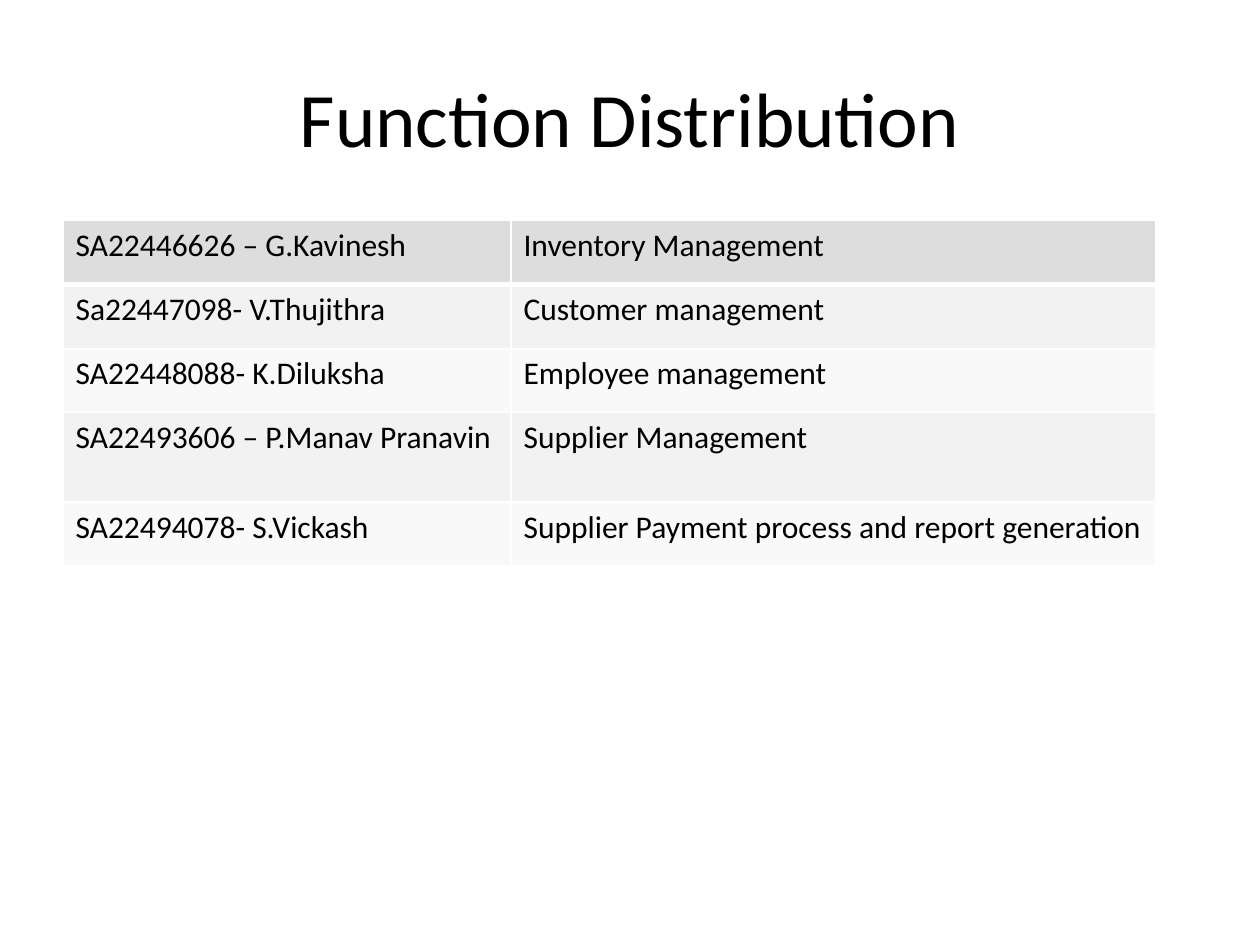
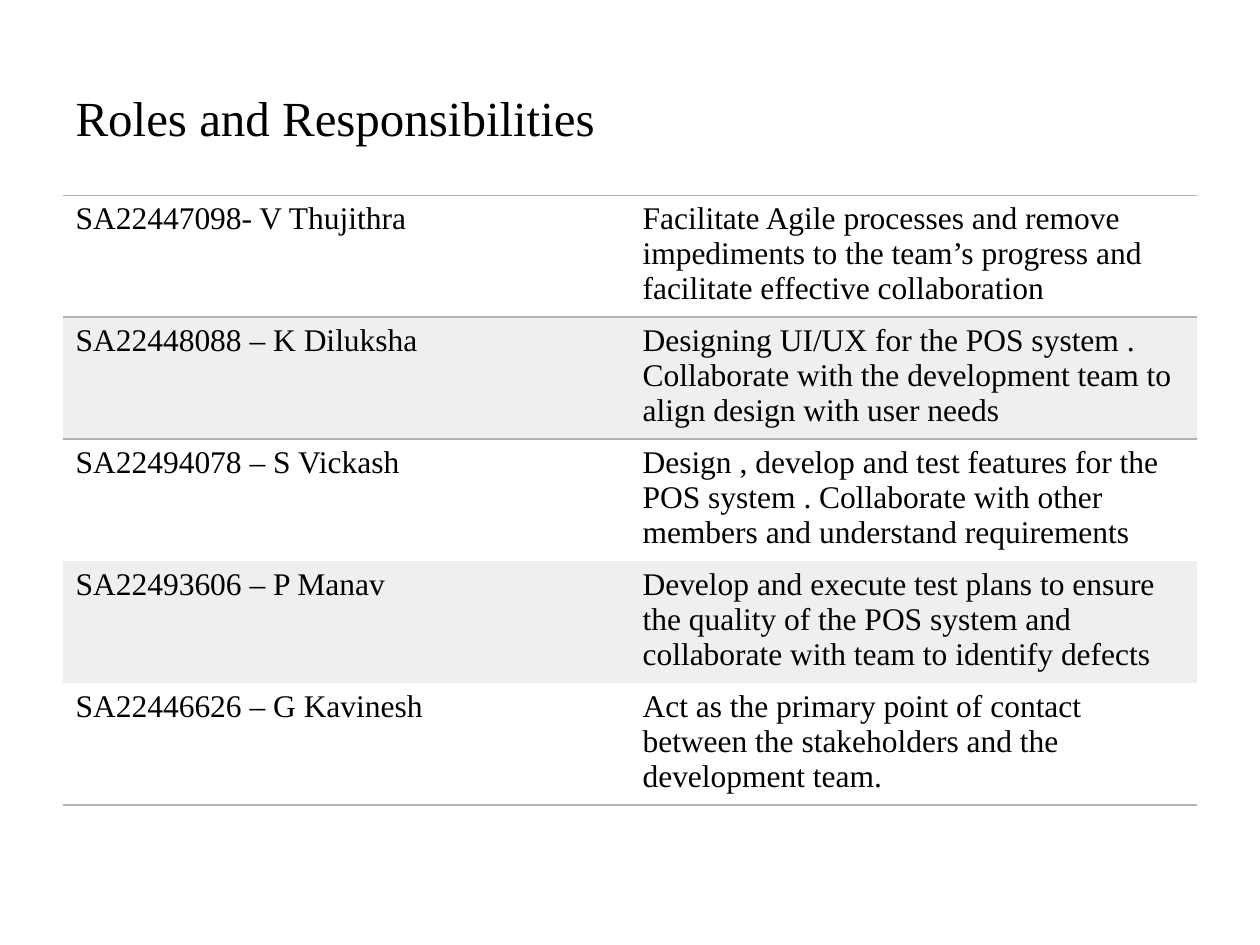
from dataclasses import dataclass

from lxml import etree
from pptx import Presentation
from pptx.dml.color import RGBColor
from pptx.enum.text import MSO_ANCHOR, PP_ALIGN
from pptx.oxml.ns import qn
from pptx.presentation import Presentation as Deck
from pptx.slide import Slide
from pptx.table import Table, _Cell
from pptx.text.text import TextFrame
from pptx.util import Pt

CENTER, LEFT = PP_ALIGN.CENTER, PP_ALIGN.LEFT
MIDDLE = MSO_ANCHOR.MIDDLE
TITLE_ONLY = 5
PLAIN_TABLE_STYLE = "{2D5ABB26-0587-4C30-8999-92F81FD0307C}"


@dataclass(frozen=True)
class Theme:
    text: str = "000000"
    white: str = "FFFFFF"
    header: str = "DDDDDD"
    band_dark: str = "F2F2F2"
    band_light: str = "F9F9F9"
    rule: str = "B2B2B2"
    sans: str = "Calibri"
    serif: str = "Times New Roman"
    title_large: int = 44
    title_small: int = 28
    body: int = 18
    margin: int = 36


THEME = Theme()


@dataclass(frozen=True)
class Fill:
    color: str
    opacity: int = 100


@dataclass(frozen=True)
class Border:
    sides: str  # any of L, R, T, B
    color: str
    width: float = 1


@dataclass(frozen=True)
class RowStyle:
    height: float
    fill: Fill | None
    borders: tuple[Border, ...] = ()


@dataclass(frozen=True)
class TablePage:
    title: str
    title_size: int
    title_align: PP_ALIGN
    font: str
    top: float
    columns: tuple[float, ...]
    rows: tuple[tuple[str, str], ...]
    styles: tuple[RowStyle, ...]


# Function distribution: white grid over a header and alternating bands
ROW, TALL_ROW = 36.6, 51
GRID = Border("LRTB", THEME.white)
HEADER_RULE = Border("B", THEME.white, 3)
DARK = RowStyle(ROW, Fill(THEME.band_dark), (GRID,))
LIGHT = RowStyle(ROW, Fill(THEME.band_light), (GRID,))

FUNCTIONS = TablePage(
    title="Function Distribution",
    title_size=THEME.title_large,
    title_align=CENTER,
    font=THEME.sans,
    top=126,
    columns=(256, 368.5),
    rows=(
        ("SA22446626 – G.Kavinesh", "Inventory Management"),
        ("Sa22447098- V.Thujithra", "Customer management"),
        ("SA22448088- K.Diluksha", "Employee management"),
        ("SA22493606 – P.Manav Pranavin", "Supplier Management"),
        ("SA22494078- S.Vickash", "Supplier Payment process and report generation"),
    ),
    styles=(
        RowStyle(ROW, Fill(THEME.header), (Border("LRT", THEME.white), HEADER_RULE)),
        RowStyle(ROW, DARK.fill, (Border("LRB", THEME.white), Border("T", THEME.white, 3))),
        LIGHT,
        RowStyle(TALL_ROW, DARK.fill, (GRID,)),
        LIGHT,
    ),
)

# Roles: grey rules around the first row and below the last, faint bands
ROLE_ROW = 69.7
BAND = Fill(THEME.rule, 20)
PLAIN = RowStyle(ROLE_ROW, None)

ROLES = TablePage(
    title="Roles and Responsibilities",
    title_size=THEME.title_small,
    title_align=LEFT,
    font=THEME.serif,
    top=111.6,
    columns=(324, 324),
    rows=(
        ("SA22447098- V Thujithra",
         "Facilitate Agile processes and remove impediments to the team’s progress "
         "and facilitate effective collaboration"),
        ("SA22448088 – K Diluksha",
         "Designing UI/UX for the POS system . Collaborate with the development team "
         "to align design with user needs"),
        ("SA22494078 – S Vickash",
         "Design , develop and test features for the POS system . Collaborate with "
         "other members and understand requirements"),
        ("SA22493606 – P Manav",
         "Develop and execute test plans to ensure the quality of the POS system and "
         "collaborate with team to identify defects"),
        ("SA22446626 – G Kavinesh",
         "Act as the primary point of contact between the stakeholders and the "
         "development team."),
    ),
    styles=(
        RowStyle(ROLE_ROW, None, (Border("TB", THEME.rule),)),
        RowStyle(ROLE_ROW, BAND, (Border("T", THEME.rule),)),
        PLAIN,
        RowStyle(ROLE_ROW, BAND),
        RowStyle(ROLE_ROW, None, (Border("B", THEME.rule),)),
    ),
)


def format_text(frame: TextFrame, font: str, size: int, align: PP_ALIGN) -> None:
    for para in frame.paragraphs:
        para.alignment = align
        for span in para.runs:
            span.font.name = font
            span.font.size = Pt(size)
            span.font.bold = False
            span.font.color.rgb = RGBColor.from_string(THEME.text)


def set_borders(cell: _Cell, borders: tuple[Border, ...]) -> None:
    properties = cell._tc.get_or_add_tcPr()
    widths = {side: border for border in borders for side in border.sides}
    for side in "LRTB":  # the schema fixes this order
        if side not in widths:
            continue
        border = widths[side]
        line = etree.SubElement(properties, qn(f"a:ln{side}"), w=str(Pt(border.width)))
        solid = etree.SubElement(line, qn("a:solidFill"))
        etree.SubElement(solid, qn("a:srgbClr"), val=border.color)


def set_fill(cell: _Cell, fill: Fill | None) -> None:
    if fill is None:
        cell.fill.background()
        return
    cell.fill.solid()
    cell.fill.fore_color.rgb = RGBColor.from_string(fill.color)
    if fill.opacity < 100:
        color = cell._tc.tcPr.find(qn("a:solidFill")).find(qn("a:srgbClr"))
        etree.SubElement(color, qn("a:alpha"), val=str(fill.opacity * 1000))


def add_title(page: Slide, content: TablePage) -> None:
    title = page.shapes.title
    title.left, title.top = Pt(THEME.margin), Pt(21.6)
    title.width, title.height = Pt(648), Pt(90)
    title.text_frame.text = content.title
    title.text_frame.vertical_anchor = MIDDLE
    format_text(title.text_frame, content.font, content.title_size, content.title_align)


def add_grid(page: Slide, content: TablePage) -> Table:
    height = sum(style.height for style in content.styles)
    frame = page.shapes.add_table(
        len(content.rows), len(content.columns), Pt(THEME.margin), Pt(content.top),
        Pt(sum(content.columns)), Pt(height))
    table = frame.table
    table.first_row = table.horz_banding = False
    table._tbl.tblPr.find(qn("a:tableStyleId")).text = PLAIN_TABLE_STYLE
    for column, width in zip(table.columns, content.columns):
        column.width = Pt(width)
    return table


def add_table_page(deck: Deck, content: TablePage) -> None:
    page = deck.slides.add_slide(deck.slide_layouts[TITLE_ONLY])
    add_title(page, content)
    table = add_grid(page, content)
    for row, texts, style in zip(table.rows, content.rows, content.styles):
        row.height = Pt(style.height)
        for cell, text in zip(row.cells, texts):
            cell.text_frame.text = text
            format_text(cell.text_frame, content.font, THEME.body, LEFT)
            set_borders(cell, style.borders)
            set_fill(cell, style.fill)


def main() -> None:
    deck = Presentation()
    deck.slide_width, deck.slide_height = Pt(720), Pt(540)
    for content in (FUNCTIONS, ROLES):
        add_table_page(deck, content)
    deck.save("out.pptx")


if __name__ == "__main__":
    main()
